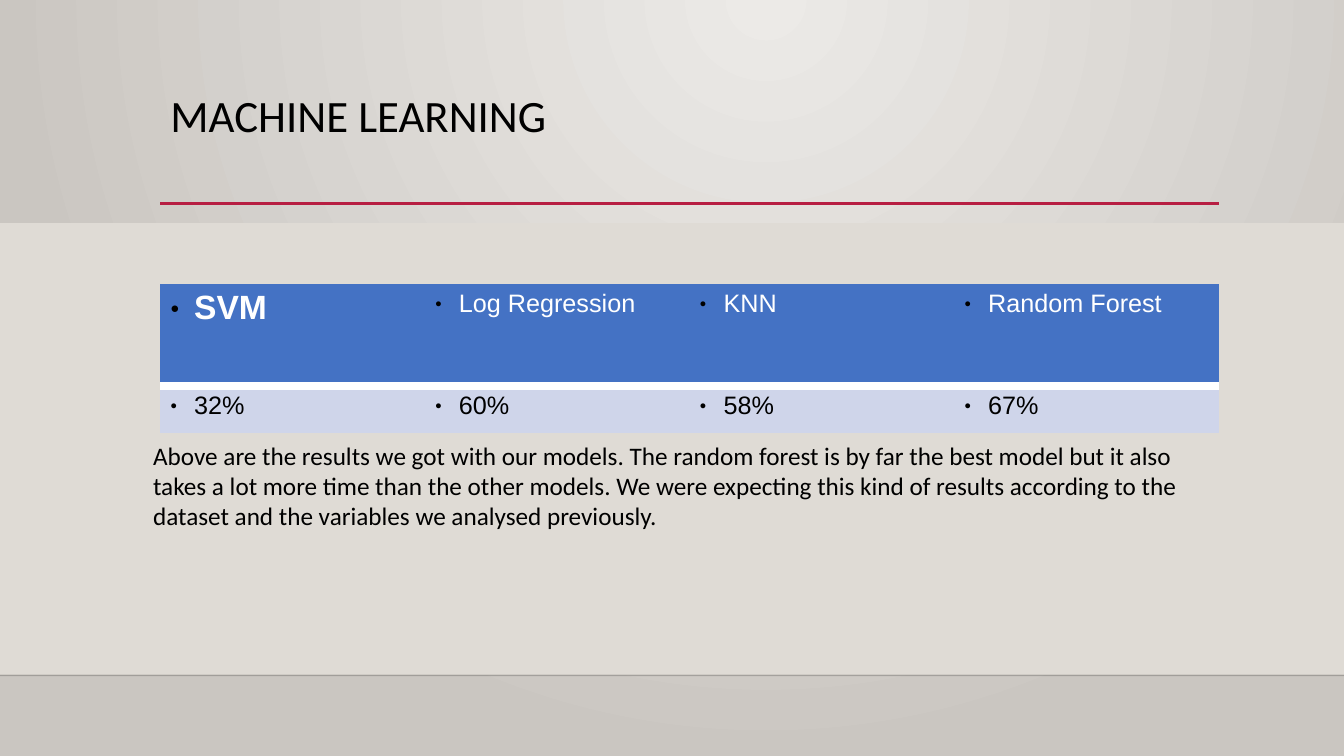
from lxml import etree
from pptx import Presentation
from pptx.dml.color import RGBColor
from pptx.enum.shapes import MSO_CONNECTOR
from pptx.enum.text import MSO_ANCHOR, MSO_AUTO_SIZE, PP_ALIGN
from pptx.oxml import parse_xml
from pptx.oxml.ns import nsdecls, qn
from pptx.util import Cm, Pt

STRAIGHT = MSO_CONNECTOR.STRAIGHT
TOP = MSO_ANCHOR.TOP
NO_FIT = MSO_AUTO_SIZE.NONE
LEFT = PP_ALIGN.LEFT

BLACK = RGBColor(0x00, 0x00, 0x00)
WHITE = RGBColor(0xFF, 0xFF, 0xFF)
GLOW = RGBColor(0xEC, 0xEA, 0xE7)
EDGE = RGBColor(0xCA, 0xC6, 0xC1)
PANEL = RGBColor(0xDF, 0xDB, 0xD5)
RED = RGBColor(0xB7, 0x1E, 0x42)
BLUE = RGBColor(0x44, 0x72, 0xC4)
PALE_BLUE = RGBColor(0xCF, 0xD5, 0xEA)

NO_STYLE = "{2D5ABB26-0587-4C30-8999-92F81FD0307C}"
WIDTH = Cm(33.87)
RESULTS = [("SVM", "32%"), ("Log Regression", "60%"), ("KNN", "58%"), ("Random Forest", "67%")]
SUMMARY = (
    "Above are the results we got with our models. The random forest is by far "
    "the best model but it also takes a lot more time than the other models. "
    "We were expecting this kind of results according to the dataset and the "
    "variables we analysed previously."
)


def add_rule(s, left, right, y, color, weight):
    line = s.shapes.add_connector(STRAIGHT, left, y, right, y)
    line.line.color.rgb = color
    line.line.width = Pt(weight)
    etree.SubElement(line._element.spPr, qn("a:effectLst"))
    return line


def style_run(r, font, size, color, bold=False):
    r.font.name = font
    r.font.size = Pt(size)
    r.font.color.rgb = color
    r.font.bold = bold


prs = Presentation()
prs.slide_width = WIDTH
prs.slide_height = Cm(19.05)
s = prs.slides.add_slide(prs.slide_layouts[5])

fill = s.background.fill
fill.gradient()
for stop, color, position in zip(fill.gradient_stops, (GLOW, EDGE), (0, 1)):
    stop.color.rgb = color
    stop.position = position
lin = s._element.find(".//" + qn("a:lin"))
lin.getparent().replace(lin, parse_xml(
    f'<a:path {nsdecls("a")} path="circle">'
    '<a:fillToRect l="57000" t="0" r="43000" b="100000"/></a:path>'))

builder = s.shapes.build_freeform(0, Cm(5.61))
builder.add_line_segments([(WIDTH, Cm(5.61)), (WIDTH, Cm(17.02)), (0, Cm(17.02))])
panel = builder.convert_to_shape()
panel.shadow.inherit = False
panel.fill.solid()
panel.fill.fore_color.rgb = PANEL
panel.line.fill.background()

floor = add_rule(s, 0, WIDTH, Cm(17.02), BLACK, 1)
rgb = floor._element.find(".//" + qn("a:srgbClr"))
etree.SubElement(rgb, qn("a:alpha"), val="20000")
add_rule(s, Cm(4.04), Cm(30.73), Cm(5.13), RED, 2.5)

title = s.shapes.title
title.left, title.top, title.width, title.height = Cm(4.04), Cm(2.24), Cm(26.67), Cm(2.92)
tf = title.text_frame
tf.text = "MACHINE LEARNING"
tf.auto_size = NO_FIT
tf.vertical_anchor = TOP
p = tf.paragraphs[0]
p.alignment = LEFT
p.line_spacing = 0.9
style_run(p.runs[0], "Calibri", 32, BLACK)

table = s.shapes.add_table(2, len(RESULTS), Cm(4.04), Cm(7.16), Cm(26.68), Cm(3.76)).table
table._tbl.tblPr.find(qn("a:tableStyleId")).text = NO_STYLE
table.first_row = False
table.horz_banding = False
table.rows[0].height = Cm(2.57)
table.rows[1].height = Cm(1.19)
for col, result in enumerate(RESULTS):
    table.columns[col].width = Cm(6.67)
    for row, text in enumerate(result):
        header = row == 0
        lead = header and col == 0
        cell = table.cell(row, col)
        cell.text = text
        cell.fill.solid()
        cell.fill.fore_color.rgb = BLUE if header else PALE_BLUE
        p = cell.text_frame.paragraphs[0]
        style_run(p.runs[0], "Arial", 24 if lead else 18, WHITE if header else BLACK, lead)
        pPr = p._p.get_or_add_pPr()
        pPr.set("marL", str(Cm(0.6)))
        pPr.set("indent", str(-Cm(0.6)))
        color = etree.SubElement(pPr, qn("a:buClr"))
        etree.SubElement(color, qn("a:srgbClr"), val=str(BLACK))
        etree.SubElement(pPr, qn("a:buSzPct"), val="45000")
        etree.SubElement(pPr, qn("a:buFont"), typeface="Arial")
        etree.SubElement(pPr, qn("a:buChar"), char="●")
        if header:
            cell._tc.get_or_add_tcPr().insert(0, parse_xml(
                f'<a:lnB {nsdecls("a")} w="{Pt(6)}"><a:solidFill>'
                f'<a:srgbClr val="{WHITE}"/></a:solidFill></a:lnB>'))

tf = s.shapes.add_textbox(Cm(3.61), Cm(10.97), Cm(26.67), Cm(2.57)).text_frame
tf.word_wrap = True
tf.text = SUMMARY
style_run(tf.paragraphs[0].runs[0], "Calibri", 18, BLACK)

prs.save("out.pptx")
